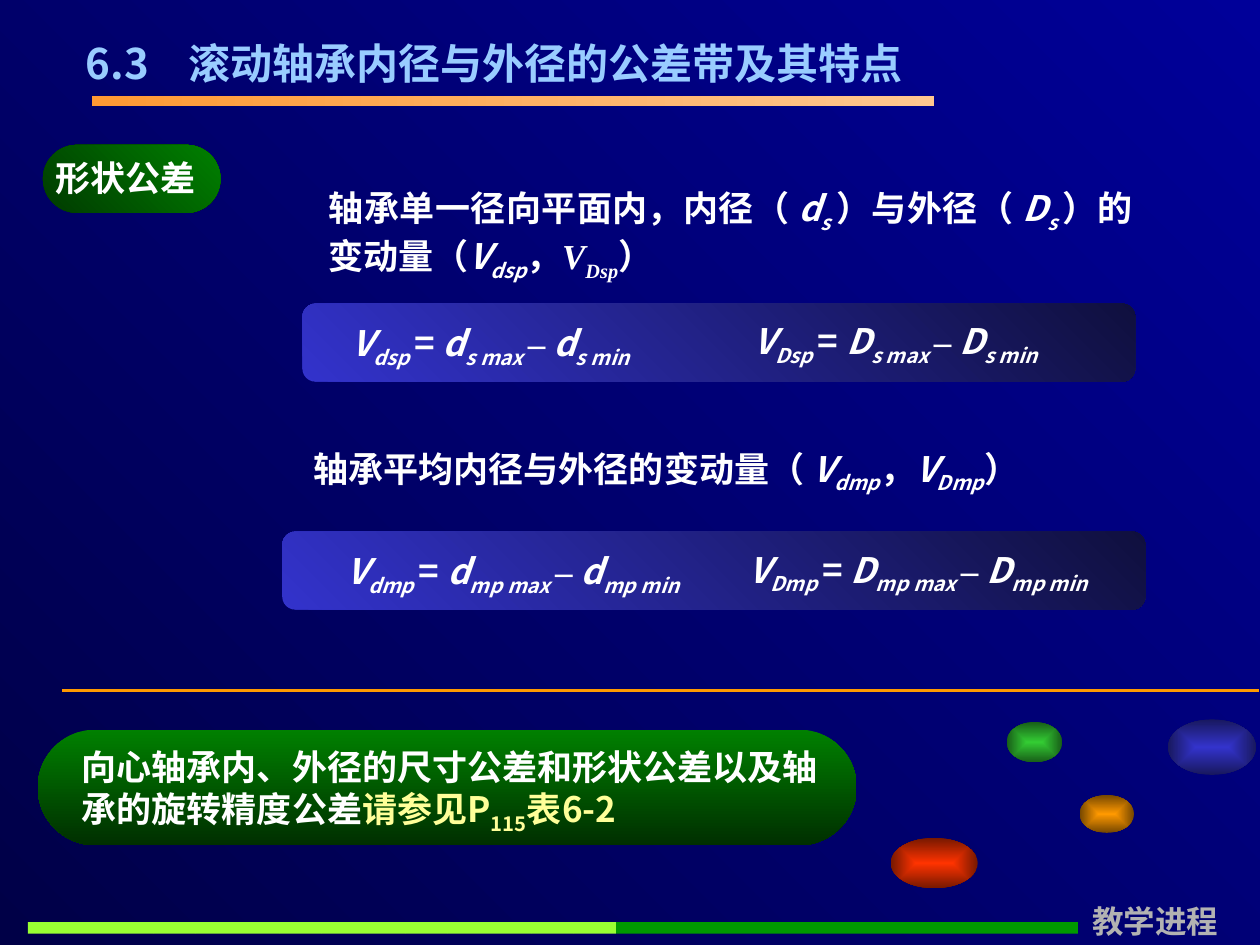
from lxml.etree import SubElement
from pptx import Presentation
from pptx.dml.color import RGBColor
from pptx.enum.shapes import MSO_CONNECTOR, MSO_SHAPE
from pptx.enum.text import MSO_ANCHOR, MSO_AUTO_SIZE, PP_ALIGN
from pptx.oxml.ns import qn
from pptx.util import Pt

SANS, SERIF = "Noto Sans CJK SC", "Times New Roman"
COLORS = {
    "night": "000047", "navy": "000099", "white": "FFFFFF", "sky": "99CCFF",
    "yellow": "FFFF99", "gray": "B2B2B2", "orange": "FF9900", "amber": "FF9933",
    "peach": "FFC790", "green": "008000", "forest": "003B00", "pine": "002F00",
    "blue": "3333CC", "ink": "0F0F3E", "lime": "99FF33", "leaf": "009900",
    "emerald": "33CC33", "dark emerald": "18185E".replace("18185E", "185E18"),
    "dark blue": "18185E", "dark orange": "764700", "red": "FF3300", "dark red": "761800",
}

# style letters
TITLE = "6.3\t滚动轴承内径与外径的公差带及其特点"
TOPIC = "形状公差"
PROGRESS = "教学进程"
SINGLE_PLANE = [
    ("轴承单一径向平面内，内径（ ", "t"), ("d", "i"), ("s ", "is"), ("）与外径（ ", "t"),
    ("D", "i"), ("s ", "is"), ("）的变动量（", "t"), ("V", "i"), ("dsp", "is"),
    ("，", "t"), ("V", "ti"), ("Dsp", "tis"), ("）", ""),
]
MEAN_DIAMETER = [
    ("轴承平均内径与外径的变动量（ ", ""), ("V", "i"), ("dmp", "is"), ("，", ""),
    ("V", "i"), ("Dmp", "is"), ("）", ""),
]
REFERENCE = [
    ("向心轴承内、外径的尺寸公差和形状公差以及轴承的旋转精度公差", ""),
    ("请参见P", "y"), ("115", "ys"), ("表6-2", "y"),
]
FORMULA_BANDS = [
    ((172.8, 173.5, 475.9, 44.6), "s", [("d", 184.3, 180, 226), ("D", 414, 179.3, 233)]),
    ((161.3, 303.8, 493.2, 44.6), "mp", [("d", 181.4, 310.3, 247), ("D", 411.1, 309.6, 255)]),
]
BEADS = [
    ((575.3, 412.6, 31.7, 23), "emerald", "dark emerald"),
    ((667.4, 411.1, 50.4, 31.7), "blue", "dark blue"),
    ((617, 454.3, 31, 21.6), "orange", "dark orange"),
    ((509, 478.8, 49.7, 28.8), "red", "dark red"),
]
PROGRESS_STEPS = [("lime", 14), ("leaf", 11)]


def rgb(name):
    return RGBColor.from_string(COLORS[name])


def points(box):
    return [Pt(length) for length in box]


def shade(fill, start, end, angle=None):
    fill.gradient()
    for stop, name in zip(fill.gradient_stops, (start, end)):
        stop.color.rgb = rgb(name)
    if angle is not None:
        fill.gradient_angle = angle


def add_panel(slide, kind, box, colors, angle=0, corner=None):
    panel = slide.shapes.add_shape(kind, *points(box))
    panel.shadow.inherit = False
    panel.line.fill.background()
    if corner is not None:
        panel.adjustments[0] = corner
    if len(colors) == 1:
        panel.fill.solid()
        panel.fill.fore_color.rgb = rgb(colors[0])
    else:
        shade(panel.fill, *colors, angle)
    return panel


def add_bead(slide, box, center, rim):
    bead = add_panel(slide, MSO_SHAPE.OVAL, box, (center, rim))
    gradient = bead.fill._xPr.find(qn("a:gradFill"))
    gradient.remove(gradient.find(qn("a:lin")))
    focus = SubElement(gradient, qn("a:path"), {"path": "rect"})
    SubElement(focus, qn("a:fillToRect"), dict.fromkeys("ltrb", "50000"))


def write(holder, text, size=20, color="white", align=PP_ALIGN.LEFT, wrap=True, tab=None):
    frame = holder.text_frame
    frame.word_wrap = wrap
    frame.auto_size = MSO_AUTO_SIZE.NONE
    frame.vertical_anchor = MSO_ANCHOR.TOP
    paragraph = frame.paragraphs[0]
    paragraph.alignment = align
    if tab:
        stops = SubElement(paragraph._p.get_or_add_pPr(), qn("a:tabLst"))
        SubElement(stops, qn("a:tab"), {"pos": str(Pt(tab)), "algn": "l"})
    for words, style in [(text, "")] if isinstance(text, str) else text:
        run = paragraph.add_run()
        run.text = words
        run.font.size = Pt(size)
        run.font.bold = True
        run.font.italic = "i" in style
        run.font.color.rgb = rgb("yellow" if "y" in style else color)
        run.font.name = SERIF if "t" in style else SANS
        properties = run._r.get_or_add_rPr()
        SubElement(properties, qn("a:ea"), {"typeface": SANS})
        if "s" in style:
            properties.set("baseline", "-25000")


def add_text(slide, box, text, **style):
    write(slide.shapes.add_textbox(*points(box)), text, **style)


def formula(letter, sub):
    return [
        ("V", "i"), (f"{letter}{sub if sub == 'mp' else 'sp'} ", "is"), ("= ", ""),
        (letter, "i"), (f"{sub} max ", "is"), ("–", "t"),
        (f" {letter}", "i"), (f"{sub} min", "is"),
    ]


def main():
    """Build the bearing tolerance slide."""
    deck = Presentation()
    deck.slide_width, deck.slide_height = Pt(720), Pt(540)
    slide = deck.slides.add_slide(deck.slide_layouts[5])
    shade(slide.background.fill, "night", "navy", 45)

    title = slide.shapes.title
    title.left, title.top, title.width, title.height = points((41.8, 18, 527.8, 36))
    write(title, TITLE, size=24, color="sky", tab=58.5)
    add_panel(slide, MSO_SHAPE.RECTANGLE, (52.6, 54.7, 481, 5.8), ("amber", "peach"))

    rounded = MSO_SHAPE.ROUNDED_RECTANGLE
    add_panel(slide, rounded, (24.5, 82.8, 101.5, 38.9), ("forest", "green"), 45, 0.5)
    add_text(slide, (24.5, 85.7, 120.2, 31.7), TOPIC)
    add_text(slide, (180.7, 103, 473.8, 62), SINGLE_PLANE, align=PP_ALIGN.JUSTIFY)
    add_text(slide, (172.1, 252, 437, 38.9), MEAN_DIAMETER, wrap=False)

    for band, sub, formulas in FORMULA_BANDS:
        add_panel(slide, rounded, band, ("blue", "ink"), 45, 0.167)
        for letter, left, top, width in formulas:
            add_text(slide, (left + 9.5, top, width - 9.5, 34.6), formula(letter, sub))

    divider = slide.shapes.add_connector(
        MSO_CONNECTOR.STRAIGHT, *points((35.3, 394.6, 719.3, 394.6)))
    divider.line.color.rgb = rgb("orange")
    divider.line.width = Pt(1.5)
    SubElement(divider._element.spPr, qn("a:effectLst"))

    add_panel(slide, rounded, (21.6, 416.9, 468, 66.2), ("green", "pine"), 270, 0.5)
    add_text(slide, (39.6, 422.6, 450, 59), REFERENCE)
    for box, center, rim in BEADS:
        add_bead(slide, box, center, rim)

    steps = [name for name, count in PROGRESS_STEPS for _ in range(count)]
    for index, name in enumerate(steps):
        add_panel(slide, MSO_SHAPE.RECTANGLE, (16 + 24 * index, 527, 24, 6.5), (name,))
    add_text(slide, (617, 511.9, 102.2, 28.8), PROGRESS, size=18, color="gray")

    deck.save("out.pptx")


if __name__ == "__main__":
    main()
